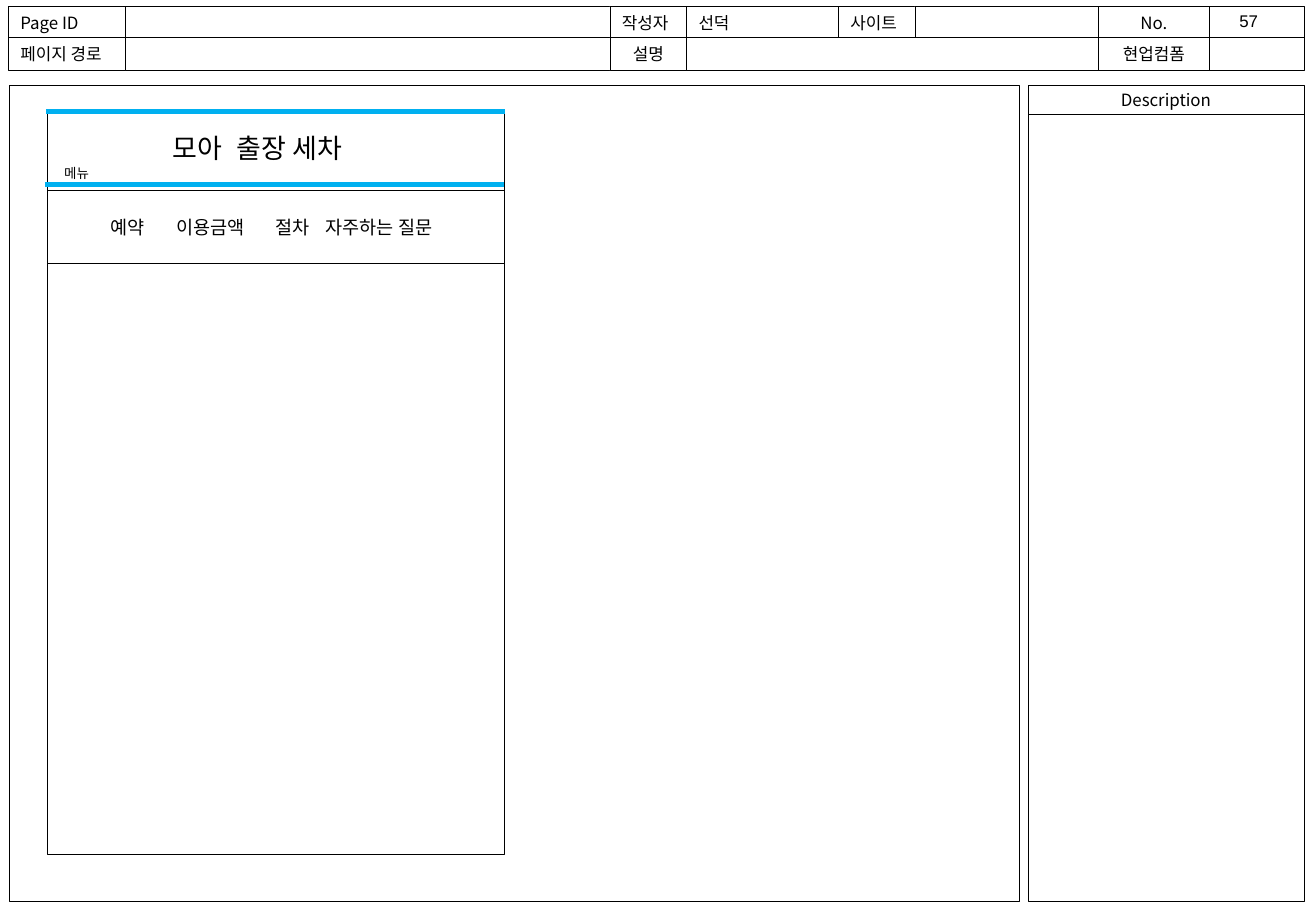
from lxml import etree
from pptx import Presentation
from pptx import util as u
from pptx.dml.color import RGBColor
from pptx.enum import shapes, text
from pptx.oxml.ns import qn

BLACK, WHITE, SKY = "000000", "FFFFFF", "00B0F0"
HANGUL = "Noto Sans CJK KR"


def color(code):
    return RGBColor.from_string(code)


class Wireframe:
    def __init__(self, page):
        self.page = page
        self.font = HANGUL
        self.outline = 0.25

    def set_text(self, frame, words, size=10, centered=False, font=None, tabs=()):
        """Fill a text frame; tabs are stops in inches from the text's left edge."""
        para = frame.paragraphs[0]
        para.text = words
        para.alignment = text.PP_ALIGN.CENTER if centered else text.PP_ALIGN.LEFT
        props = para._p.get_or_add_pPr()
        if tabs:
            stops = etree.SubElement(props, qn("a:tabLst"))
            for stop in tabs:
                etree.SubElement(stops, qn("a:tab"), pos=str(u.Inches(stop)), algn="l")
        para.font.size = u.Pt(size)
        para.font.color.rgb = color(BLACK)
        para.font.name = font or self.font
        etree.SubElement(props.find(qn("a:defRPr")), qn("a:ea"), typeface=font or self.font)

    def box(self, left, top, width, height, words="", fill=WHITE, inset=0.1, **style):
        box = self.page.shapes.add_shape(
            shapes.MSO_SHAPE.RECTANGLE, *map(u.Inches, (left, top, width, height)))
        box.shadow.inherit = False
        if fill:
            box.fill.solid()
            box.fill.fore_color.rgb = color(fill)
        else:
            box.fill.background()
        box.line.color.rgb = color(BLACK)
        box.line.width = u.Pt(self.outline)
        if words:
            frame = box.text_frame
            frame.vertical_anchor = text.MSO_ANCHOR.MIDDLE
            frame.margin_left = u.Inches(inset)
            frame.margin_right = u.Inches(0.04)
            if style.get("centered"):
                frame.margin_right = frame.margin_left
            self.set_text(frame, words, **style)

    def label(self, left, top, width, height, words, wrap=False, **style):
        box = self.page.shapes.add_textbox(*map(u.Inches, (left, top, width, height)))
        box.text_frame.word_wrap = wrap
        box.text_frame.auto_size = text.MSO_AUTO_SIZE.SHAPE_TO_FIT_TEXT
        self.set_text(box.text_frame, words, **style)

    def rule(self, left, top, width):
        """Draw a thick horizontal accent line."""
        line = self.page.shapes.add_connector(
            shapes.MSO_CONNECTOR.STRAIGHT,
            *map(u.Inches, (left, top, left + width, top)))
        line.line.color.rgb = color(SKY)
        line.line.width = u.Pt(3)
        etree.SubElement(line._element.spPr, qn("a:effectLst"))


# Each header row: top, then (left, width, words, centered) per cell
HEADER = [
    (0.05, [
        (0.07, 0.97, "Page ID", False),
        (1.03, 3.99, "", False),
        (5.02, 0.63, "작성자", False),
        (5.65, 1.25, "선덕", False),
        (6.9, 0.63, "사이트", False),
        (7.53, 1.87, "", False),
        (9.04, 0.91, "No.", True),
        (9.95, 0.78, "", False),
    ]),
    (0.31, [
        (0.07, 0.97, "페이지 경로", False),
        (1.03, 3.99, "", False),
        (5.02, 0.63, "설명", True),
        (5.65, 5.08, "", False),
        (9.04, 0.91, "현업컴폼", True),
    ]),
]


def main():
    deck = Presentation()
    deck.slide_width, deck.slide_height = u.Inches(10.83), u.Inches(7.5)
    wireframe = Wireframe(deck.slides.add_slide(deck.slide_layouts[6]))

    for top, cells in HEADER:
        for left, width, words, centered in cells:
            wireframe.box(left, top, width, 0.27, words, centered=centered)
    wireframe.label(10.1, 0.04, 0.38, 0.27, "57", font="Arial")

    wireframe.box(8.46, 0.94, 2.27, 6.48)
    wireframe.box(8.46, 0.7, 2.27, 0.24, "Description", centered=True)
    wireframe.box(0.08, 0.7, 8.31, 6.72)

    screen_left, screen_top, screen_width = 0.39, 0.92, 3.76
    for height in (6.11, 0.65):
        wireframe.box(screen_left, screen_top, screen_width, height, fill=None)
    wireframe.label(0.43, 1.31, 0.43, 0.24, "메뉴", size=8)
    wireframe.rule(0.37, 1.52, 3.78)
    wireframe.rule(0.38, screen_top, 3.78)
    wireframe.label(1.32, 1.03, 1.94, 0.37, "모아\t출장 세차", wrap=True, size=16, tabs=[0.53])
    wireframe.box(screen_left, 1.57, screen_width, 0.6, "예약\t이용금액\t절차\t자주하는 질문",
                  inset=0.52, size=11, tabs=[0.54, 1.36, 1.77])

    deck.save("out.pptx")


if __name__ == "__main__":
    main()
